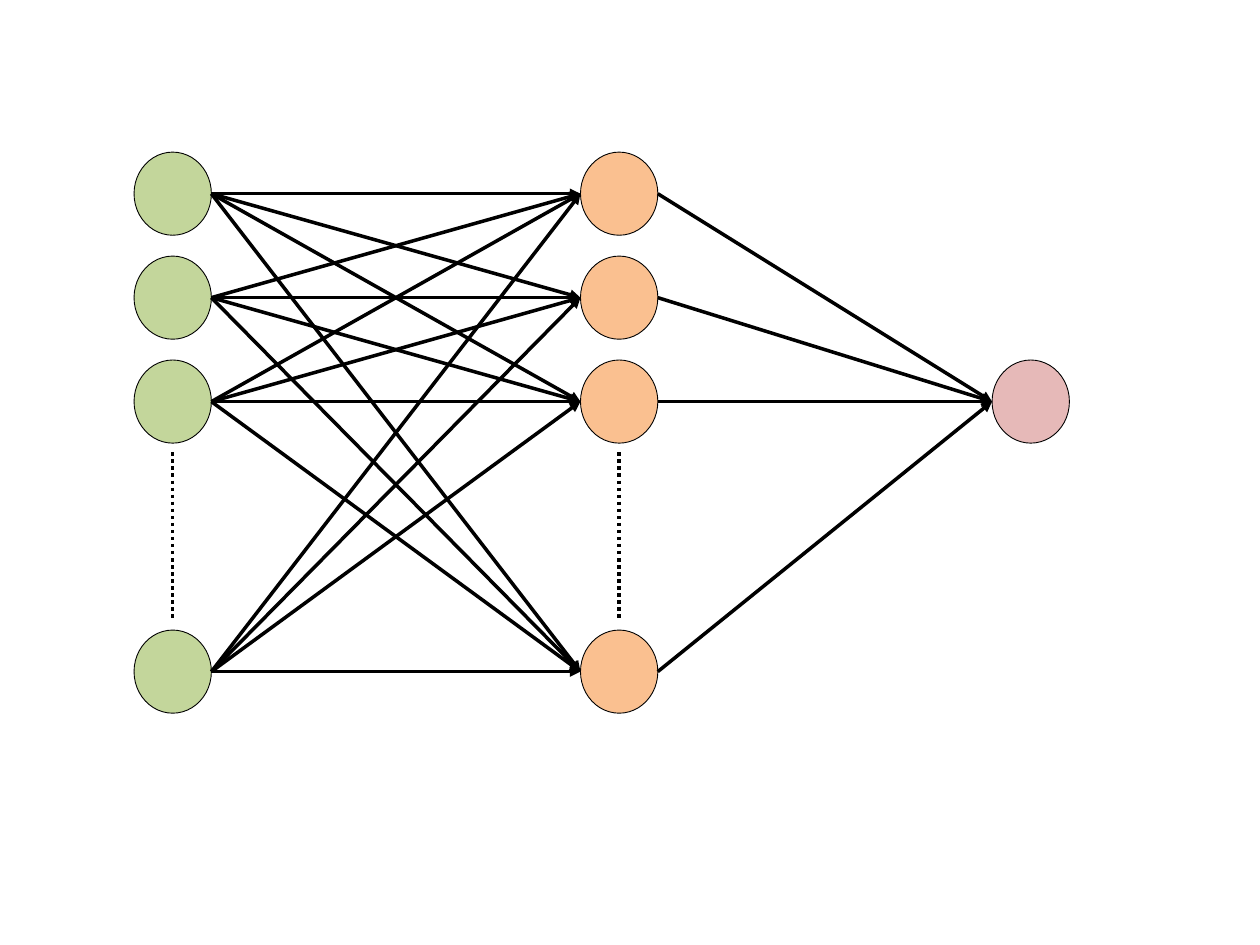
import itertools
from dataclasses import dataclass

import pptx
import pptx.dml.color
import pptx.enum.dml
import pptx.enum.shapes
import pptx.oxml
import pptx.oxml.ns
import pptx.util
from pptx.util import Pt


@dataclass(frozen=True)
class Theme:
    input_fill: str = "C3D69B"
    hidden_fill: str = "FAC090"
    output_fill: str = "E6B9B8"
    ink: str = "000000"
    outline: float = 0.5
    stroke: float = 2


theme = Theme()
node_width, node_height = 44.2, 47.5
input_left, hidden_left, output_left = 76.6, 331.7, 566.9
row_centers = [110.7, 170.1, 229.5, 383.8]
output_center = row_centers[2]
dots_top, dots_bottom = 258.5, 353.5

deck = pptx.Presentation()
deck.slide_width, deck.slide_height = Pt(720), Pt(540)
page = deck.slides.add_slide(deck.slide_layouts[6])


def add_node(left, center, fill):
    node = page.shapes.add_shape(
        pptx.enum.shapes.MSO_SHAPE.OVAL,
        Pt(left), Pt(center - node_height / 2), Pt(node_width), Pt(node_height))
    node.shadow.inherit = False
    node.fill.solid()
    node.fill.fore_color.rgb = pptx.dml.color.RGBColor.from_string(fill)
    node.line.color.rgb = pptx.dml.color.RGBColor.from_string(theme.ink)
    node.line.width = Pt(theme.outline)


def add_line(start, end, dotted=False):
    line = page.shapes.add_connector(
        pptx.enum.shapes.MSO_CONNECTOR.STRAIGHT, *map(Pt, start + end))
    line.line.color.rgb = pptx.dml.color.RGBColor.from_string(theme.ink)
    line.line.width = Pt(theme.stroke)
    if dotted:
        line.line.dash_style = pptx.enum.dml.MSO_LINE.ROUND_DOT
    else:
        arrowhead = pptx.oxml.parse_xml(
            f'<a:tailEnd {pptx.oxml.ns.nsdecls("a")} type="triangle"/>')
        line.line._get_or_add_ln().append(arrowhead)
    effects = pptx.oxml.parse_xml(f'<a:effectLst {pptx.oxml.ns.nsdecls("a")}/>')
    line._element.spPr.append(effects)


for left, fill in [(input_left, theme.input_fill), (hidden_left, theme.hidden_fill)]:
    for center in row_centers:
        add_node(left, center, fill)
    middle = left + node_width / 2
    add_line((middle, dots_top), (middle, dots_bottom), dotted=True)
add_node(output_left, output_center, theme.output_fill)

for source, target in itertools.product(row_centers, repeat=2):
    add_line((input_left + node_width, source), (hidden_left, target))
for source in row_centers:
    add_line((hidden_left + node_width, source), (output_left, output_center))

deck.save("out.pptx")
